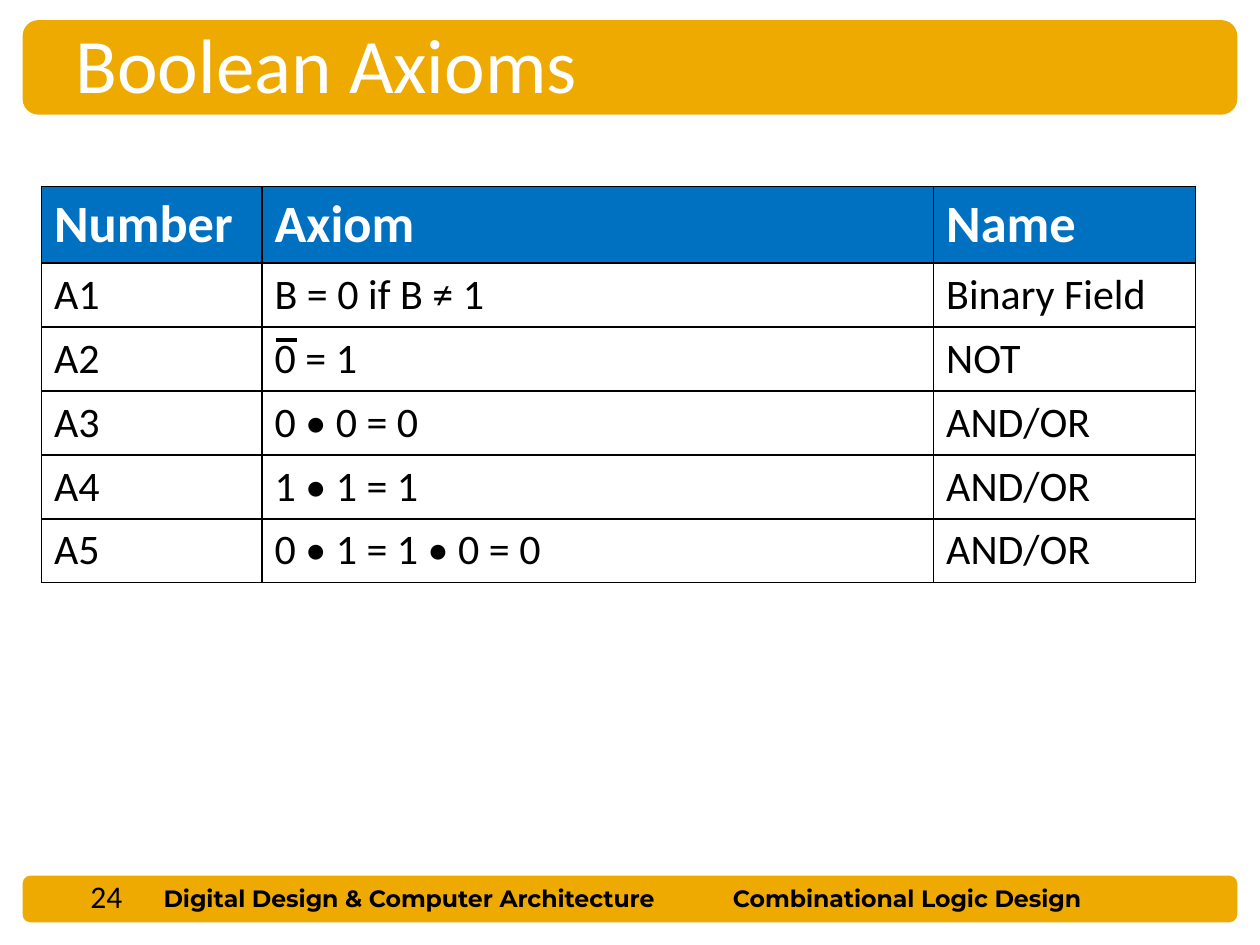
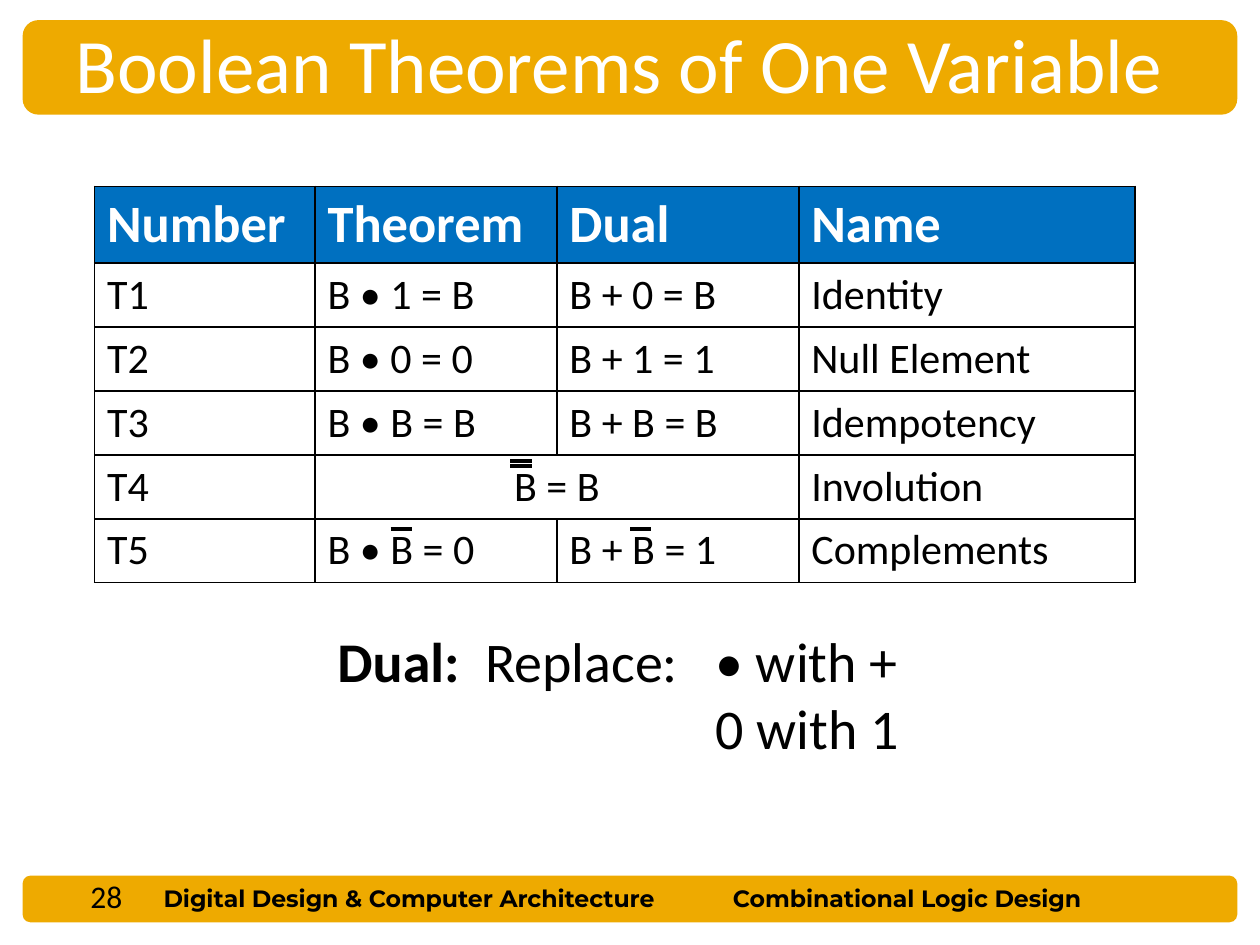
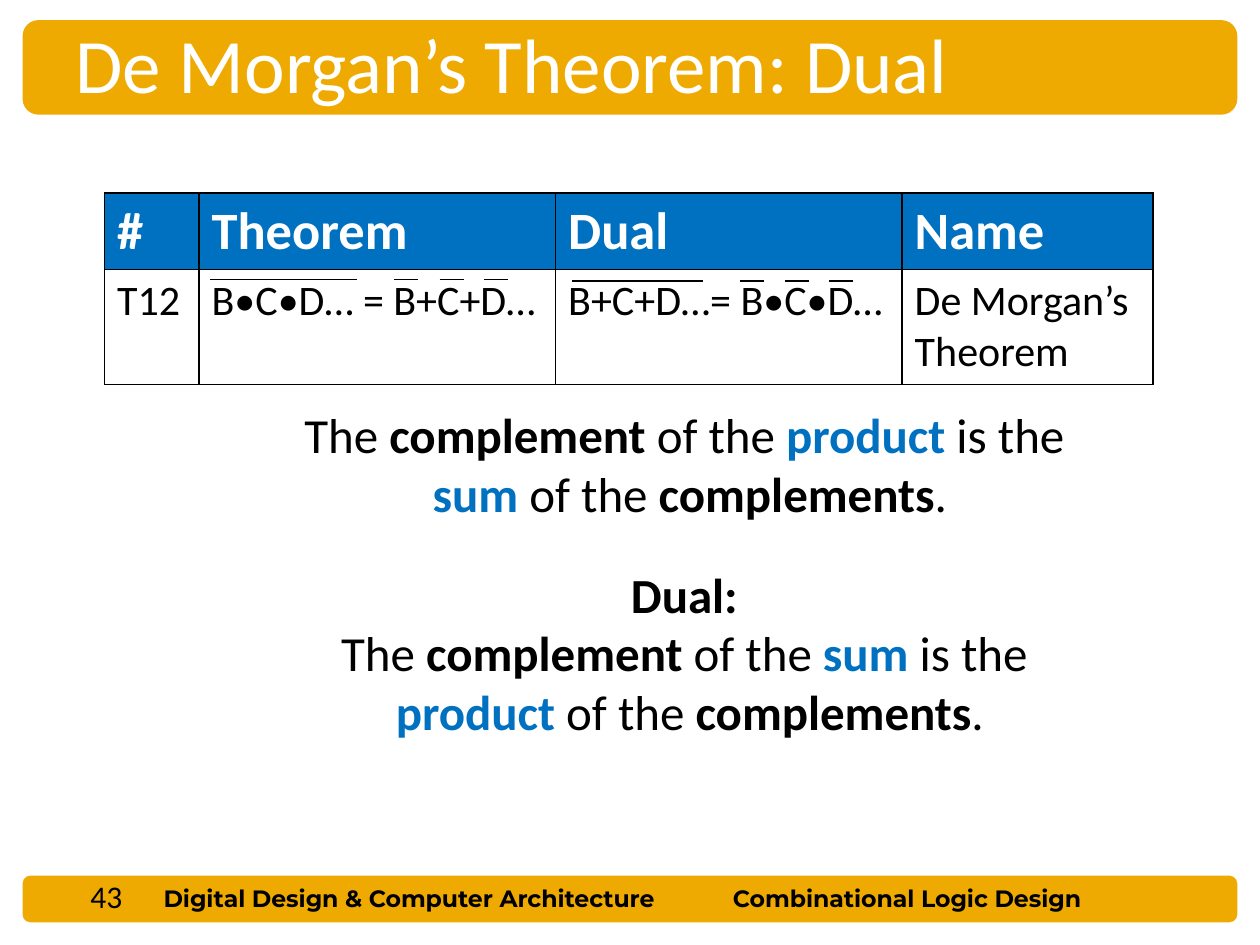
from lxml import etree
from pptx import Presentation
from pptx.dml.color import RGBColor
from pptx.enum import shapes, text
from pptx.oxml import ns
from pptx.util import Inches, Pt

GOLD = RGBColor(0xEE, 0xAA, 0x00)
BLUE = RGBColor(0x00, 0x70, 0xC0)
BLACK = RGBColor(0, 0, 0)
WHITE = RGBColor(255, 255, 255)
FONT = "Calibri"
LEFT, MID, RIGHT = text.PP_ALIGN.LEFT, text.PP_ALIGN.CENTER, text.PP_ALIGN.RIGHT

BANDS = [(0.18, 6.95, 9.64, 0.37), (0.18, 0.16, 9.64, 0.75)]
FEET = [
    ("Digital Design & Computer Architecture", (1.2, 6.97, 4.44, 0.33), LEFT),
    ("Combinational Logic Design", (4.67, 6.97, 5.06, 0.33), MID),
]
HEAD, ROW, TALL = 0.6, 0.5, 0.9

DUAL = [
    dict(runs=[("Dual:", True, BLACK), ("  Replace:\t• with +", False, BLACK)]),
    dict(runs=[("0 with 1", False, BLACK)], indent=3),
]


def plain(word):
    return (word, False, BLACK)


def bold(word):
    return (word, True, BLACK)


def key(word):
    return (word, True, BLUE)


def law(first, last):
    return [
        dict(runs=[plain("The "), bold("complement"), plain(" of the "),
                   key(first + " "), plain("is the ")], align=MID),
        dict(runs=[key(last + " "), plain("of the "), bold("complements"),
                   plain(".")], align=MID),
    ]


MORGAN = (law("product", "sum")
          + [dict(runs=[bold("Dual: ")], align=MID, gap=24)]
          + law("sum", "product"))

SLIDES = [
    dict(
        title="Boolean Axioms", page="24", wide=8.67,
        at=(0.33, 1.48), cols=[1.75, 5.33, 2.08], row=ROW,
        rows=[
            ("Number", "Axiom", "Name"),
            ("A1", "B = 0 if B ≠ 1", "Binary Field"),
            ("A2", "0 = 1", "NOT"),
            ("A3", "0 • 0 = 0", "AND/OR"),
            ("A4", "1 • 1 = 1", "AND/OR"),
            ("A5", "0 • 1 = 1 • 0 = 0", "AND/OR"),
        ],
        bars=[(2.19, 2.7, 0.17)], thick=2,
    ),
    dict(
        title="Boolean Theorems of One Variable", page="28", wide=9,
        at=(0.75, 1.48), cols=[1.75, 1.92, 1.92, 2.67], row=ROW,
        rows=[
            ("Number", "Theorem", "Dual", "Name"),
            ("T1", "B • 1 = B", "B + 0 = B", "Identity"),
            ("T2", "B • 0 = 0", "B + 1 = 1", "Null Element"),
            ("T3", "B • B = B", "B + B = B", "Idempotency"),
            ("T4", "B = B", None, "Involution"),
            ("T5", "B • B = 0", "B + B = 1", "Complements"),
        ],
        bars=[(3.1, 4.2, 0.17), (5, 4.2, 0.17),
              (4.05, 3.7, 0.17), (4.05, 3.66, 0.17)], thick=2,
        note=DUAL, box=(2.58, 4.92, 4.8, 1.18), size=32,
    ),
    dict(
        title="De Morgan’s Theorem: Dual", page="43", wide=8.67,
        at=(0.83, 1.53), cols=[0.75, 2.83, 2.75, 1.99], row=TALL,
        rows=[
            ("#", "Theorem", "Dual", "Name"),
            ("T12", "B•C•D… = B+C+D…", "B+C+D…= B•C•D…", "De Morgan’s Theorem"),
        ],
        bars=[(1.67, 2.22, 1.16), (4.54, 2.23, 1.04)]
        + [(x, 2.22, 0.19) for x in (3.13, 3.49, 3.84)]
        + [(x, 2.23, 0.19) for x in (5.87, 6.23, 6.58)], thick=0.75,
        note=MORGAN, box=(1.7, 3.16, 7.55, 2.79), size=28,
    ),
]


def place(box):
    return [Inches(n) for n in box]


def add_run(para, word, size, color, heavy=False, face=FONT):
    run = para.add_run()
    run.text = word
    font = run.font
    font.name, font.size, font.bold = face, Pt(size), heavy
    font.color.rgb = color


def add_text(slide, box, paras, size, face=FONT):
    label = slide.shapes.add_textbox(*place(box))
    frame = label.text_frame
    frame.word_wrap = True
    for n, item in enumerate(paras):
        para = frame.add_paragraph() if n else frame.paragraphs[0]
        para.alignment = item.get("align", LEFT)
        para.space_before = Pt(item.get("gap", 0))
        if "indent" in item:
            props = para._p.get_or_add_pPr()
            props.set("marL", str(Inches(item["indent"])))
            props.set("indent", "0")
        for word, heavy, color in item["runs"]:
            add_run(para, word, size, color, heavy, face)
    return label


def add_frame(slide, layout):
    parts = []
    for box in BANDS:
        band = slide.shapes.add_shape(
            shapes.MSO_SHAPE.ROUNDED_RECTANGLE, *place(box))
        band.shadow.inherit = False
        band.fill.solid()
        band.fill.fore_color.rgb = GOLD
        band.line.fill.background()
        parts.append(band)
    for word, box, align in FEET:
        para = dict(runs=[bold(word)], align=align)
        parts.append(add_text(slide, box, [para], 13.5, "Montserrat"))
    for part in parts:
        layout.shapes._spTree.append(part._element)


def set_title(slide, word, wide):
    title = slide.shapes.title
    title.left, title.top, title.width, title.height = place((0.5, 0.08, wide, 0.84))
    frame = title.text_frame
    frame.auto_size = text.MSO_AUTO_SIZE.NONE
    frame.vertical_anchor = text.MSO_ANCHOR.TOP
    para = frame.paragraphs[0]
    para.alignment = LEFT
    add_run(para, word, 44, WHITE)


def add_edges(cell):
    props = cell._tc.get_or_add_tcPr()
    for n, side in enumerate(("lnL", "lnR", "lnT", "lnB")):
        line = etree.Element(ns.qn("a:" + side), w=str(Pt(1)))
        fill = etree.SubElement(line, ns.qn("a:solidFill"))
        etree.SubElement(fill, ns.qn("a:srgbClr"), val=str(BLACK))
        props.insert(n, line)


def add_grid(slide, at, cols, rows, row):
    high = HEAD + row * (len(rows) - 1)
    box = place((*at, sum(cols), high))
    grid = slide.shapes.add_table(len(rows), len(cols), *box).table
    grid.horz_banding = False
    for col, wide in zip(grid.columns, cols):
        col.width = Inches(wide)
    for r, words in enumerate(rows):
        grid.rows[r].height = Inches(row if r else HEAD)
        for c, word in enumerate(words):
            cell = grid.cell(r, c)
            cell.fill.solid()
            cell.fill.fore_color.rgb = WHITE if r else BLUE
            add_edges(cell)
            if word is None:
                first = grid.cell(r, c - 1)
                first.merge(cell)
                first.text_frame.paragraphs[0].alignment = MID
                continue
            size, color = (24, BLACK) if r else (30, WHITE)
            add_run(cell.text_frame.paragraphs[0], word, size, color, r == 0)


def add_bar(slide, x, y, wide, thick):
    bar = slide.shapes.add_connector(
        shapes.MSO_CONNECTOR.STRAIGHT, *place((x, y, x + wide, y)))
    bar.line.color.rgb = BLACK
    bar.line.width = Pt(thick)
    etree.SubElement(bar._element.spPr, ns.qn("a:effectLst"))


def main():
    deck = Presentation()
    deck.slide_width, deck.slide_height = Inches(10), Inches(7.5)
    layout = deck.slide_layouts[5]
    for n, item in enumerate(SLIDES):
        slide = deck.slides.add_slide(layout)
        if n == 0:
            add_frame(slide, layout)
        set_title(slide, item["title"], item["wide"])
        add_grid(slide, item["at"], item["cols"], item["rows"], item["row"])
        if "note" in item:
            add_text(slide, item["box"], item["note"], item["size"])
        for bar in item["bars"]:
            add_bar(slide, *bar, item["thick"])
        page = dict(runs=[plain(item["page"])], align=RIGHT)
        add_text(slide, (0.2, 6.91, 0.87, 0.39), [page], 18)
    deck.save("out.pptx")


if __name__ == "__main__":
    main()
